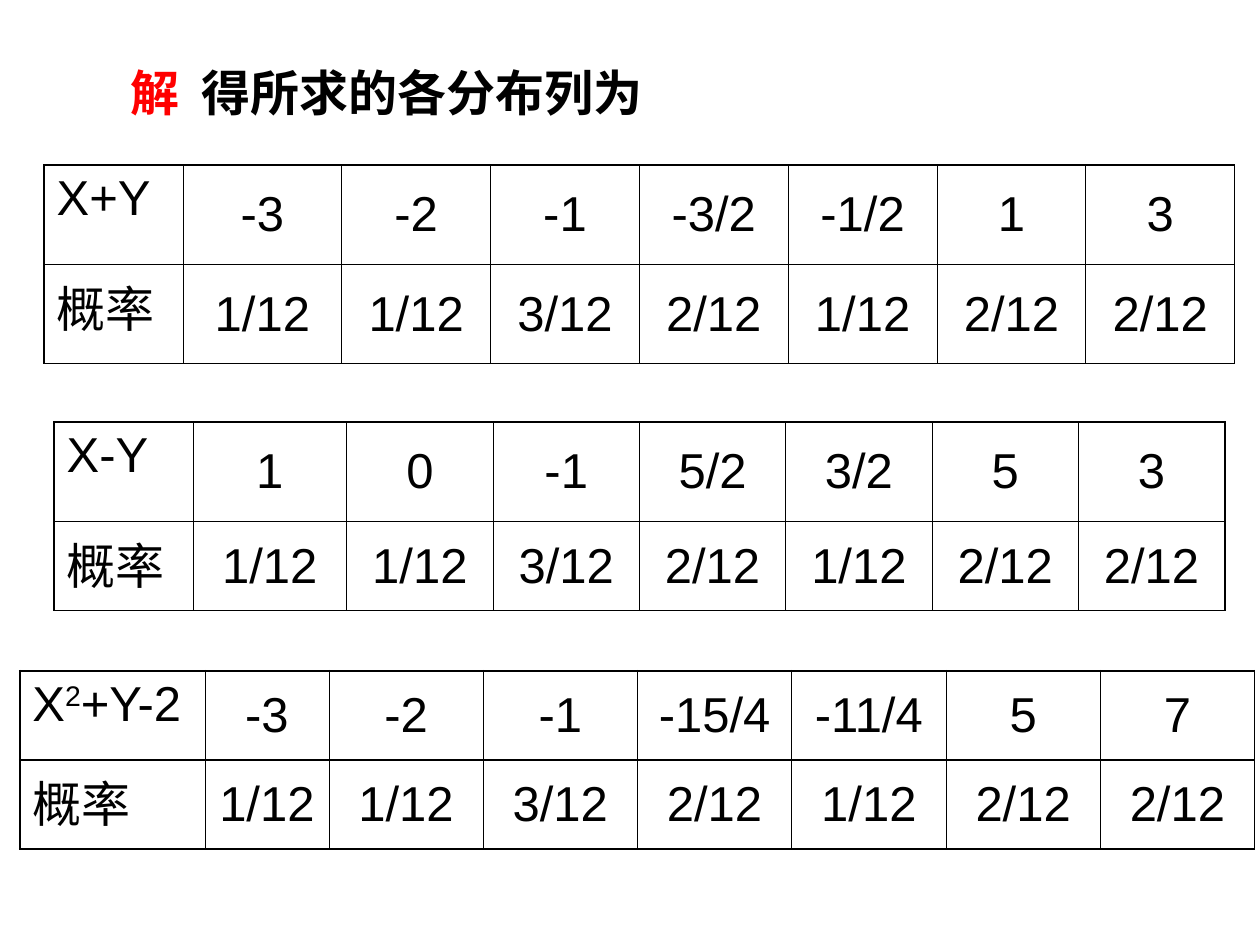
from dataclasses import dataclass

from lxml import etree
from pptx import Presentation
from pptx.dml.color import RGBColor
from pptx.enum.text import MSO_ANCHOR, PP_ALIGN
from pptx.oxml.ns import qn
from pptx.util import Cm, Pt

MIDDLE, TOP = MSO_ANCHOR.MIDDLE, MSO_ANCHOR.TOP
CENTER, LEFT = PP_ALIGN.CENTER, PP_ALIGN.LEFT


@dataclass(frozen=True)
class Theme:
    ink: str = "000000"
    accent: str = "FF0000"
    latin: str = "Arial"
    chinese: str = "Noto Sans CJK SC"
    size: float = 28
    thin: float = 0.45
    thick: float = 1.08


THEME = Theme()
PROBABILITIES = ["1/12", "1/12", "3/12", "2/12", "1/12", "2/12", "2/12"]


@dataclass(frozen=True)
class Distribution:
    """One table; lengths in cm, the label given as (text, superscript) parts."""
    label: tuple
    values: list
    left: float
    top: float
    widths: list
    heights: list
    divider: float = THEME.thin


DISTRIBUTIONS = [
    Distribution((("X+Y", False),), ["-3", "-2", "-1", "-3/2", "-1/2", "1", "3"],
                 0.89, 3.33, [2.8, 3.2] + [3] * 6, [2, 2]),
    Distribution((("X-Y", False),), ["1", "0", "-1", "5/2", "3/2", "5", "3"],
                 1.09, 8.51, [2.8, 3.1] + [2.95] * 6, [2, 1.8]),
    Distribution((("X", False), ("2", True), ("+Y-2", False)),
                 ["-3", "-2", "-1", "-15/4", "-11/4", "5", "7"],
                 0.4, 13.52, [3.73, 2.5] + [3.11] * 6, [1.8, 1.8], THEME.thick),
]


def add_span(para, text, font_name, color=THEME.ink, bold=False, superscript=False):
    span = para.add_run()
    span.text = text
    span.font.size = Pt(THEME.size)
    span.font.bold = bold
    span.font.name = font_name
    span.font.color.rgb = RGBColor.from_string(color)
    properties = span._r.get_or_add_rPr()
    etree.SubElement(properties, qn("a:ea"), typeface=THEME.chinese)
    if superscript:
        properties.set("baseline", "30000")


def add_tab_stop(para, position):
    stops = etree.SubElement(para._p.get_or_add_pPr(), qn("a:tabLst"))
    etree.SubElement(stops, qn("a:tab"), pos=str(position), algn="l")


def add_heading(page):
    box = page.shapes.add_textbox(Cm(2.39), Cm(1.12), Cm(11.48), Cm(1.45))
    frame = box.text_frame
    frame.word_wrap = True
    frame.vertical_anchor = MIDDLE
    para = frame.paragraphs[0]
    add_tab_stop(para, Cm(1.43))
    add_span(para, "解\t", THEME.chinese, THEME.accent, bold=True)
    add_span(para, "得所求的各分布列为", THEME.chinese, bold=True)


def set_borders(cell, left, right, top, bottom):
    properties = cell._tc.get_or_add_tcPr()
    for side, width in zip("LRTB", (left, right, top, bottom)):
        line = etree.SubElement(properties, qn(f"a:ln{side}"), w=str(Pt(width)))
        fill = etree.SubElement(line, qn("a:solidFill"))
        etree.SubElement(fill, qn("a:srgbClr"), val=THEME.ink)


def fill_cell(cell, parts, anchor, alignment):
    cell.fill.background()
    cell.vertical_anchor = anchor
    para = cell.text_frame.paragraphs[0]
    para.alignment = alignment
    for text, superscript in parts:
        add_span(para, text, THEME.latin, superscript=superscript)


def add_distribution(page, item):
    rows = [[item.label] + [((value, False),) for value in item.values],
            [(("概率", False),)] + [((value, False),) for value in PROBABILITIES]]
    frame = page.shapes.add_table(len(rows), len(item.widths), Cm(item.left), Cm(item.top),
                                  Cm(sum(item.widths)), Cm(sum(item.heights)))
    table = frame.table
    table.first_row = table.horz_banding = False
    for column, width in zip(table.columns, item.widths):
        column.width = Cm(width)
    for row, height in zip(table.rows, item.heights):
        row.height = Cm(height)

    verticals = [THEME.thick] + [THEME.thin] * (len(item.widths) - 1) + [THEME.thick]
    horizontals = [THEME.thick, item.divider, THEME.thick]
    for r, row in enumerate(rows):
        for c, parts in enumerate(row):
            cell = table.cell(r, c)
            set_borders(cell, *verticals[c:c + 2], *horizontals[r:r + 2])
            if c == 0:
                fill_cell(cell, parts, TOP, LEFT)
            else:
                fill_cell(cell, parts, MIDDLE, CENTER)


def main():
    deck = Presentation()
    deck.slide_width, deck.slide_height = Cm(25.4), Cm(19.05)
    page = deck.slides.add_slide(deck.slide_layouts[6])
    add_heading(page)
    for item in DISTRIBUTIONS:
        add_distribution(page, item)
    deck.save("out.pptx")


if __name__ == "__main__":
    main()
